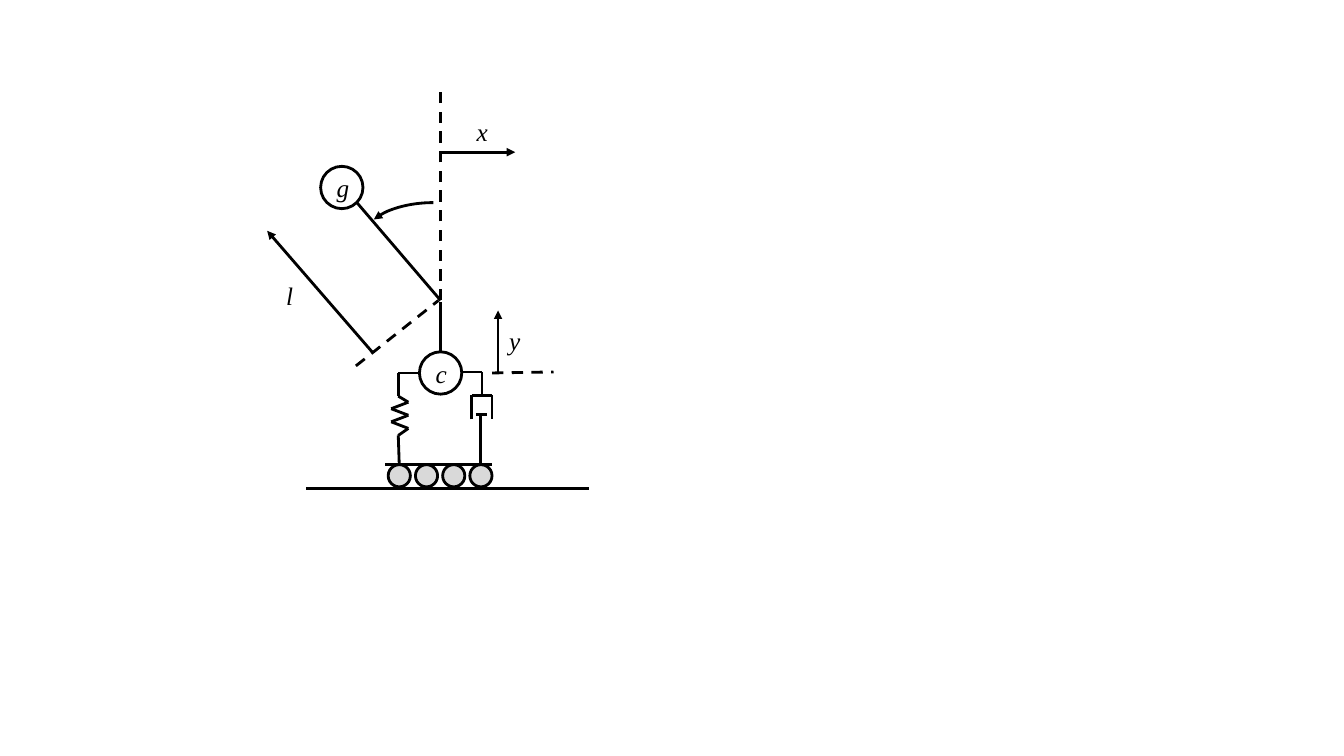
from itertools import pairwise

from lxml.etree import SubElement
from pptx import Presentation
from pptx.dml.color import RGBColor
from pptx.enum.dml import MSO_LINE
from pptx.enum.shapes import MSO_CONNECTOR, MSO_SHAPE
from pptx.enum.text import MSO_ANCHOR, MSO_AUTO_SIZE, PP_ALIGN
from pptx.oxml.ns import qn
from pptx.util import Inches, Pt

BLACK = RGBColor(0x00, 0x00, 0x00)
WHITE = RGBColor(0xFF, 0xFF, 0xFF)
WHEEL_GREY = RGBColor(0xD9, 0xD9, 0xD9)

AXIS_X = 4.37
PIVOT = (AXIS_X, 2.98)
MASS_SIZE = 0.42
WHEEL_SIZE = 0.22
WHEEL_STEP = 0.27


def format_line(line):
    line.color.rgb = BLACK
    line.width = Pt(2)


def add_arrowhead(shape, end):
    """Put a triangle on the "headEnd" (start) or "tailEnd" (finish) of a line."""
    outline = shape.line._get_or_add_ln()
    SubElement(outline, qn(f"a:{end}"), type="triangle")


def add_line(page, start, finish, dashed=False, arrow=False):
    points = [Inches(value) for value in (*start, *finish)]
    line = page.shapes.add_connector(MSO_CONNECTOR.STRAIGHT, *points)
    format_line(line.line)
    if dashed:
        line.line.dash_style = MSO_LINE.DASH
    if arrow:
        add_arrowhead(line, "tailEnd")
    SubElement(line._element.spPr, qn("a:effectLst"))


def add_polyline(page, points):
    for start, finish in pairwise(points):
        add_line(page, start, finish)


def add_symbol(frame, text):
    """Write one italic variable name into a text frame."""
    para = frame.paragraphs[0]
    span = para.add_run()
    span.text = text
    span.font.name = "Times New Roman"
    span.font.size = Pt(18)
    span.font.italic = True
    span.font.color.rgb = BLACK
    return para


def add_circle(page, left, top, size, fill):
    circle = page.shapes.add_shape(
        MSO_SHAPE.OVAL, Inches(left), Inches(top), Inches(size), Inches(size))
    circle.shadow.inherit = False
    circle.fill.solid()
    circle.fill.fore_color.rgb = fill
    format_line(circle.line)
    return circle


def add_mass(page, left, top, text):
    frame = add_circle(page, left, top, MASS_SIZE, WHITE).text_frame
    frame.vertical_anchor = MSO_ANCHOR.MIDDLE
    add_symbol(frame, text).alignment = PP_ALIGN.CENTER


def add_label(page, left, top, width, text):
    box = page.shapes.add_textbox(
        Inches(left), Inches(top), Inches(width), Inches(0.4))
    box.text_frame.word_wrap = False
    box.text_frame.auto_size = MSO_AUTO_SIZE.SHAPE_TO_FIT_TEXT
    add_symbol(box.text_frame, text)


def add_angle_arc(page):
    arc = page.shapes.add_shape(
        MSO_SHAPE.ARC, Inches(3.6), Inches(2.01), Inches(1.4), Inches(0.72))
    arc.shadow.inherit = False
    arc.fill.background()
    # Angles are stored in 60000ths of a degree, adjustments in 100000ths.
    for index, degrees in enumerate((198, 270)):
        arc.adjustments[index] = degrees * 0.6
    format_line(arc.line)
    add_arrowhead(arc, "headEnd")


def add_pendulum(page):
    add_mass(page, 4.16, 3.49, "c")
    add_mass(page, 3.18, 1.65, "g")
    add_line(page, (AXIS_X, 3.49), (AXIS_X, 3))
    add_line(page, PIVOT, (3.54, 2.01))
    add_line(page, PIVOT, (AXIS_X, 0.91), dashed=True)
    add_angle_arc(page)


def add_cart(page):
    add_line(page, (3.04, 4.85), (5.84, 4.85))
    add_line(page, (3.82, 4.61), (4.88, 4.61))
    for index in range(4):
        add_circle(page, 3.85 + index * WHEEL_STEP, 4.61, WHEEL_SIZE, WHEEL_GREY)


def add_spring(page):
    coil = [(3.88 if index % 2 else 4.05, 3.99 + index * 0.065)
            for index in range(5)]
    add_polyline(page, [(4.16, 3.7), (3.95, 3.7), (3.95, 3.93),
                        *coil, (3.95, 4.32), (3.96, 4.61)])


def add_damper(page):
    add_polyline(page, [(4.58, 3.69), (4.78, 3.69), (4.78, 3.92)])
    add_polyline(page, [(4.68, 4.16), (4.68, 3.92), (4.88, 3.92), (4.88, 4.16)])
    add_line(page, (4.72, 4.11), (4.83, 4.11))
    add_line(page, (4.77, 4.11), (4.77, 4.61))


def add_dimensions(page):
    add_line(page, (AXIS_X, 1.51), (5.11, 1.51), arrow=True)
    add_label(page, 4.63, 1.11, 0.31, "x")
    add_line(page, (4.94, 3.69), (4.94, 3.08), arrow=True)
    add_label(page, 4.95, 3.18, 0.31, "y")
    add_line(page, (4.88, 3.7), (5.49, 3.69), dashed=True)
    add_line(page, (3.53, 3.63), (4.35, 2.98), dashed=True)
    add_line(page, (3.69, 3.49), (2.65, 2.29), arrow=True)
    add_label(page, 2.74, 2.73, 0.27, "l")


def main():
    deck = Presentation()
    deck.slide_width = Inches(13.33)
    deck.slide_height = Inches(7.5)
    page = deck.slides.add_slide(deck.slide_layouts[6])
    add_pendulum(page)
    add_cart(page)
    add_spring(page)
    add_damper(page)
    add_dimensions(page)
    deck.save("out.pptx")


if __name__ == "__main__":
    main()
